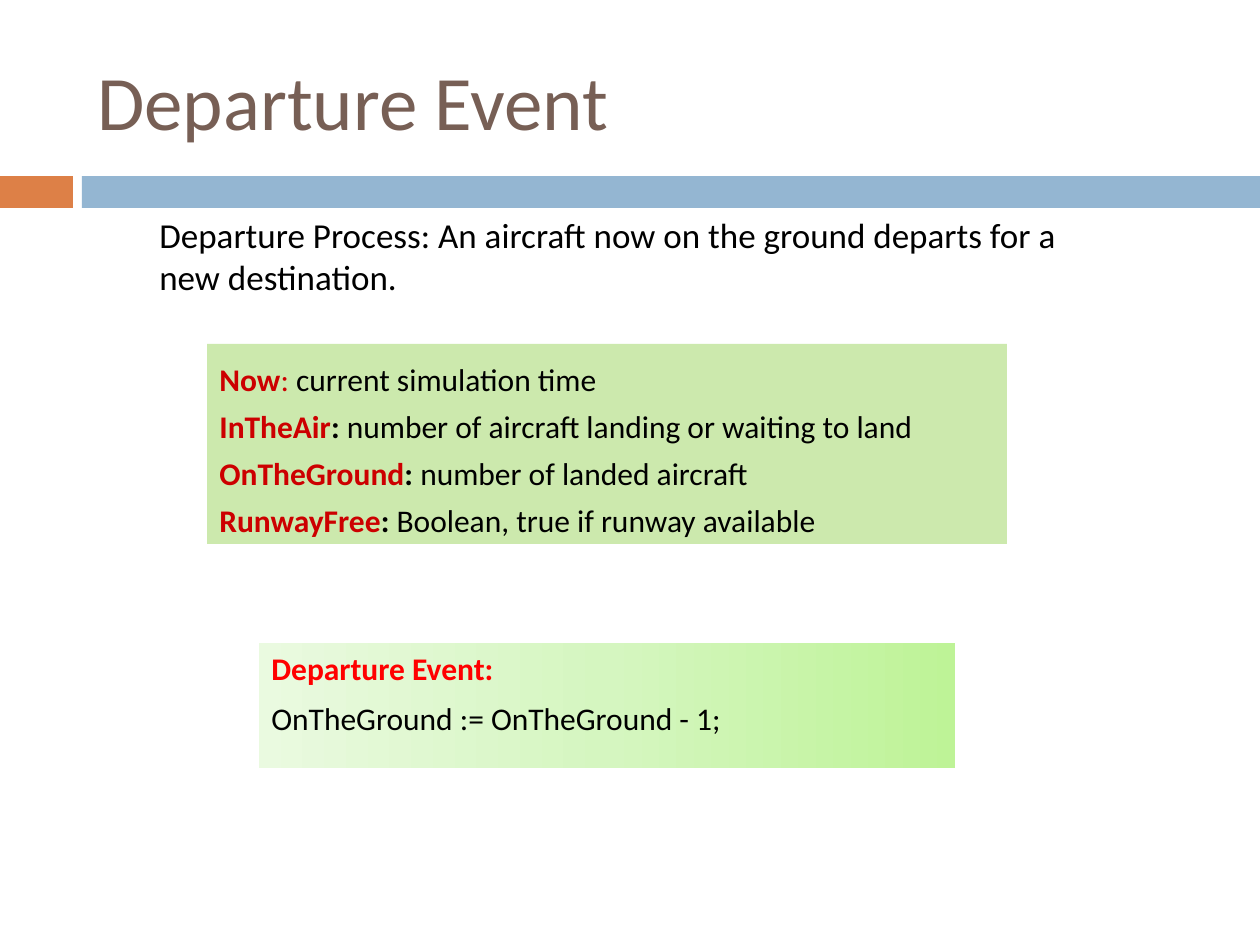
from copy import deepcopy

from pptx import Presentation
from pptx.dml.color import RGBColor
from pptx.enum.shapes import MSO_SHAPE
from pptx.enum.text import MSO_ANCHOR, PP_ALIGN
from pptx.util import Emu, Pt

RECTANGLE = MSO_SHAPE.RECTANGLE
TOP, MIDDLE = MSO_ANCHOR.TOP, MSO_ANCHOR.MIDDLE
LEFT = PP_ALIGN.LEFT
EMU_PER_PX = 914400 / 126
FONT = "Calibri"
COLORS = {
    "orange": "DD8047", "blue": "94B6D2", "brown": "775F55",
    "black": "000000", "dark red": "CC0000", "red": "FF0000",
    "green": "CCE9AD", "gradient start": "BEF397",
    "gradient middle": "D5F6C0", "gradient end": "EAFAE0",
}
VARIABLES = [
    ("Now", ": ", "current simulation time"),
    ("InTheAir", ":", " number of aircraft landing or waiting to land"),
    ("OnTheGround", ":", " number of landed aircraft"),
    ("RunwayFree", ":", " Boolean, true if runway available"),
]


def px(length):
    """Turn pixels into EMU."""
    return Emu(round(length * EMU_PER_PX))


def color(name):
    """Look up a named colour."""
    return RGBColor.from_string(COLORS[name])


def add_rectangle(slide, box, fill=None):
    """Add a rectangle without outline or shadow."""
    shape = slide.shapes.add_shape(RECTANGLE, *map(px, box))
    shape.shadow.inherit = False
    shape.line.fill.background()
    if fill:
        shape.fill.solid()
        shape.fill.fore_color.rgb = color(fill)
    return shape


def fill_gradient(shape):
    """Fill a shape with the three-stop green gradient."""
    shape.fill.gradient()
    shape.fill.gradient_angle = 180
    stops = shape.fill.gradient_stops
    for stop, name in zip(stops, ("gradient start", "gradient end")):
        stop.color.rgb = color(name)
    first = shape.element.spPr.xpath(".//a:gs")[0]
    first.addnext(deepcopy(first))
    middle = shape.fill.gradient_stops[1]
    middle.position = 0.5
    middle.color.rgb = color("gradient middle")


def write_text(shape, lines, size, anchor=TOP, hanging=0, before=0, spacing=None):
    """Write lines made of (text, colour, bold) runs into a shape."""
    frame = shape.text_frame
    frame.word_wrap = True
    frame.vertical_anchor = anchor
    for index, runs in enumerate(lines):
        paragraph = frame.add_paragraph() if index else frame.paragraphs[0]
        paragraph.alignment = LEFT
        paragraph.space_before = Pt(before)
        if spacing:
            paragraph.line_spacing = Pt(spacing)
        if hanging:
            properties = paragraph._p.get_or_add_pPr()
            properties.set("marL", str(px(hanging)))
            properties.set("indent", str(-px(hanging)))
        for text, name, bold in runs:
            run = paragraph.add_run()
            run.text = text
            run.font.name = FONT
            run.font.size = Pt(size)
            run.font.bold = bold
            run.font.color.rgb = color(name)


def add_text(slide, box, text, size, name, **layout):
    """Add a text box holding one plain line."""
    shape = slide.shapes.add_textbox(*map(px, box))
    write_text(shape, [[(text, name, False)]], size, **layout)


def variable_runs(index, variable):
    """Style the name, colon and meaning of a state variable."""
    name, colon, meaning = variable
    colon_style = ("black", True) if index else ("dark red", False)
    return [(name, "dark red", True), (colon, *colon_style), (meaning, "black", False)]


def main():
    """Build the departure event slide."""
    presentation = Presentation()
    presentation.slide_width, presentation.slide_height = px(1260), px(945)
    slide = presentation.slides.add_slide(presentation.slide_layouts[6])

    add_rectangle(slide, (0, 176, 73, 32), "orange")
    add_rectangle(slide, (82, 176, 1178, 32), "blue")
    add_text(slide, (85, 32, 1124, 136), "Departure Event", 44, "brown", anchor=MIDDLE)

    event = add_rectangle(slide, (259, 643, 696, 125))
    fill_gradient(event)
    event_lines = [
        [("Departure Event:", "red", True)],
        [("OnTheGround := OnTheGround - 1;", "black", False)],
    ]
    write_text(event, event_lines, 18, hanging=44, before=7)

    process = "Departure Process: An aircraft now on the ground departs for a new destination."
    add_text(slide, (147, 207, 955, 97), process, 20, "black")

    variables = add_rectangle(slide, (207, 344, 800, 200), "green")
    variable_lines = [variable_runs(*item) for item in enumerate(VARIABLES)]
    write_text(variables, variable_lines, 18, hanging=48, spacing=27)

    presentation.save("out.pptx")


if __name__ == "__main__":
    main()
